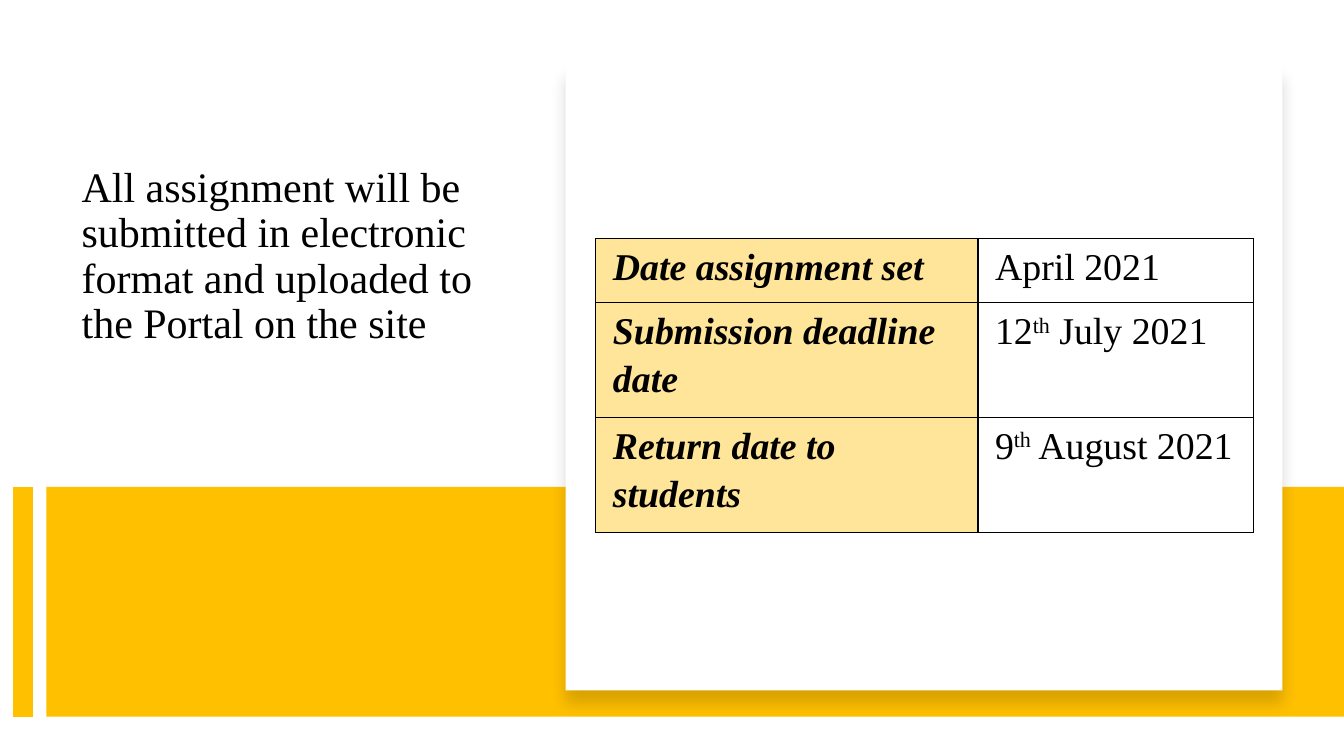
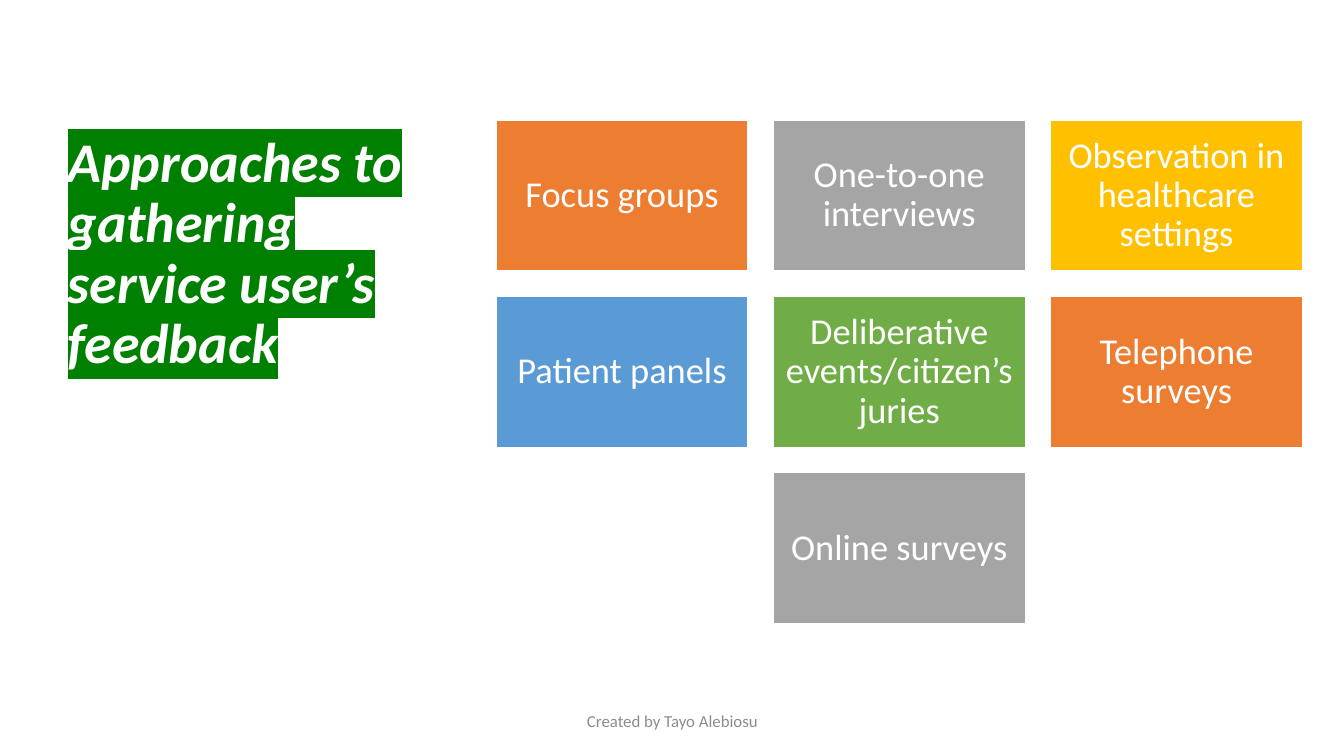
from lxml import etree
from pptx import Presentation
from pptx.dml.color import RGBColor as RGB
from pptx.enum.shapes import MSO_CONNECTOR as Conn, MSO_SHAPE as Shape
from pptx.enum.text import MSO_ANCHOR as Anchor, MSO_AUTO_SIZE as Fit, PP_ALIGN as Align
from pptx.oxml.ns import qn
from pptx.util import Inches, Pt

BLACK = RGB(0x00, 0x00, 0x00)
WHITE = RGB(0xFF, 0xFF, 0xFF)
GOLD = RGB(0xFF, 0xC0, 0x00)
CREAM = RGB(0xFF, 0xE5, 0x99)
ORANGE = RGB(0xED, 0x7D, 0x31)
GRAY = RGB(0xA5, 0xA5, 0xA5)
BLUE = RGB(0x5B, 0x9B, 0xD5)
GREEN = RGB(0x70, 0xAD, 0x47)
DIM = RGB(0x8C, 0x8C, 0x8C)
MARK = RGB(0x00, 0x80, 0x00)

SERIF = "Times New Roman"
SANS = "Calibri"
LEAD = {"name": SERIF, "size": Pt(30), "color": BLACK}
HEAD = {"name": SANS, "size": Pt(40), "color": WHITE, "bold": True, "italic": True}
TILE = {"name": SANS, "size": Pt(26), "color": WHITE}
FOOT = {"name": SANS, "size": Pt(12), "color": DIM}
CELL = {"name": SERIF, "size": Pt(27), "color": BLACK}
LABEL = {**CELL, "bold": True, "italic": True}

DATES = [
    ("Date assignment set", ("April 2021",)),
    ("Submission deadline date", ("12", "th", " July 2021")),
    ("Return date to students", ("9", "th", " August 2021")),
]
TILES = [
    ("Focus groups", ORANGE),
    ("One-to-one interviews", GRAY),
    ("Observation in healthcare settings", GOLD),
    ("Patient panels", BLUE),
    ("Deliberative events/citizen’s juries", GREEN),
    ("Telephone surveys", ORANGE),
    ("Online surveys", GRAY),
]


def box(*sizes):
    return [Inches(size) for size in sizes]


def style(font, look):
    for key, value in look.items():
        if key == "color":
            font.color.rgb = value
        else:
            setattr(font, key, value)


def write(frame, text, look, align=Align.LEFT, lead=0.9):
    para = frame.paragraphs[0]
    para.alignment = align
    para.line_spacing = lead
    run = para.add_run()
    run.text = text
    style(run.font, look)
    return run


def add_child(node, tag, **attrs):
    return etree.SubElement(node, qn(tag), attrs)


def add_color(node, color):
    return add_child(node, "a:srgbClr", val=str(color))


def add_title(slide, text, place, look, anchor):
    title = slide.shapes.title
    title.left, title.top, title.width, title.height = box(*place)
    frame = title.text_frame
    frame.word_wrap = True
    frame.auto_size = Fit.NONE
    frame.vertical_anchor = anchor
    return write(frame, text, look)


def highlight(run, color):
    mark = etree.Element(qn("a:highlight"))
    add_color(mark, color)
    run.font._element.find(qn("a:solidFill")).addnext(mark)


def add_rect(slide, place, color):
    rect = slide.shapes.add_shape(Shape.RECTANGLE, *box(*place))
    rect.shadow.inherit = False
    rect.fill.solid()
    rect.fill.fore_color.rgb = color
    rect.line.fill.background()
    return rect


def add_bar(slide, left, top, end, color, width):
    bar = slide.shapes.add_connector(Conn.STRAIGHT, *box(left, top, left, end))
    bar.line.color.rgb = color
    bar.line.width = Pt(width)
    add_child(bar._element.spPr, "a:effectLst")


def add_card(slide, place):
    card = add_rect(slide, place, WHITE)
    glow = card._element.spPr.find(qn("a:effectLst"))
    shade = add_child(glow, "a:outerShdw", blurRad=str(Pt(11)), dist=str(Pt(10)),
                      dir="5400000", algn="t", rotWithShape="0")
    add_child(add_color(shade, BLACK), "a:alpha", val="15000")


def set_cell(cell, parts, look, fill=None):
    cell.margin_left = cell.margin_right = Inches(0.17)
    cell.margin_top, cell.margin_bottom = box(0.02, 0)
    cell.vertical_anchor = Anchor.TOP
    for part in parts:
        run = write(cell.text_frame, part, look, lead=1.15)
        if part == "th":
            run.font._element.set("baseline", "30000")
    props = cell._tc.get_or_add_tcPr()
    for side in ("a:lnL", "a:lnR", "a:lnT", "a:lnB"):
        edge = add_child(props, side, w=str(Pt(1)))
        add_color(add_child(edge, "a:solidFill"), BLACK)
    if fill is None:
        cell.fill.background()
    else:
        cell.fill.solid()
        cell.fill.fore_color.rgb = fill


def add_dates(slide, place):
    table = slide.shapes.add_table(len(DATES), 2, *box(*place)).table
    table.first_row = table.horz_banding = False
    for col, width in zip(table.columns, box(3.79, 2.73)):
        col.width = width
    for row, height in zip(table.rows, box(0.63, 1.14, 1.14)):
        row.height = height
    for row, (label, parts) in enumerate(DATES):
        set_cell(table.cell(row, 0), [label], LABEL, CREAM)
        set_cell(table.cell(row, 1), parts, CELL)


def add_tile(slide, text, color, place):
    tile = add_rect(slide, place, color)
    tile.line.color.rgb = WHITE
    tile.line.width = Pt(1)
    frame = tile.text_frame
    frame.word_wrap = True
    frame.vertical_anchor = Anchor.MIDDLE
    for side in ("left", "right", "top", "bottom"):
        setattr(frame, f"margin_{side}", Inches(0.11))
    write(frame, text, TILE, Align.CENTER)


def add_grid(slide, left, top, cols=3, width=2.5, height=1.5, gap=0.25):
    for start in range(0, len(TILES), cols):
        line = TILES[start:start + cols]
        inset = (cols - len(line)) * (width + gap) / 2
        y = top + start // cols * (height + gap)
        for col, (text, color) in enumerate(line):
            x = left + inset + col * (width + gap)
            add_tile(slide, text, color, (x, y, width, height))


def add_foot(slide, text):
    frame = slide.shapes.add_textbox(*box(4.42, 6.95, 4.5, 0.4)).text_frame
    frame.word_wrap = True
    frame.vertical_anchor = Anchor.MIDDLE
    write(frame, text, FOOT, Align.CENTER, 1.0)


def build_dates(slide):
    add_title(slide, "All assignment will be submitted in electronic format "
              "and uploaded to the Portal on the site",
              (0.71, 1.6, 4.15, 2.94), LEAD, Anchor.TOP)
    add_rect(slide, (0.46, 4.83, 12.87, 2.28), GOLD)
    add_bar(slide, 0.23, 4.83, 7.11, GOLD, 14)
    add_card(slide, (5.61, 0.64, 7.11, 6.21))
    add_dates(slide, (5.91, 2.37, 6.52, 2.91))


def build_tiles(slide):
    run = add_title(slide, "Approaches to gathering service user’s feedback",
                    (0.57, 0.68, 4.06, 3.7), HEAD, Anchor.MIDDLE)
    highlight(run, MARK)
    add_foot(slide, "Created by Tayo Alebiosu")
    add_grid(slide, 4.92, 1.19)


def main():
    deck = Presentation()
    deck.slide_width, deck.slide_height = box(13.33, 7.5)
    for build in (build_dates, build_tiles):
        build(deck.slides.add_slide(deck.slide_layouts[5]))
    deck.save("out.pptx")


if __name__ == "__main__":
    main()
